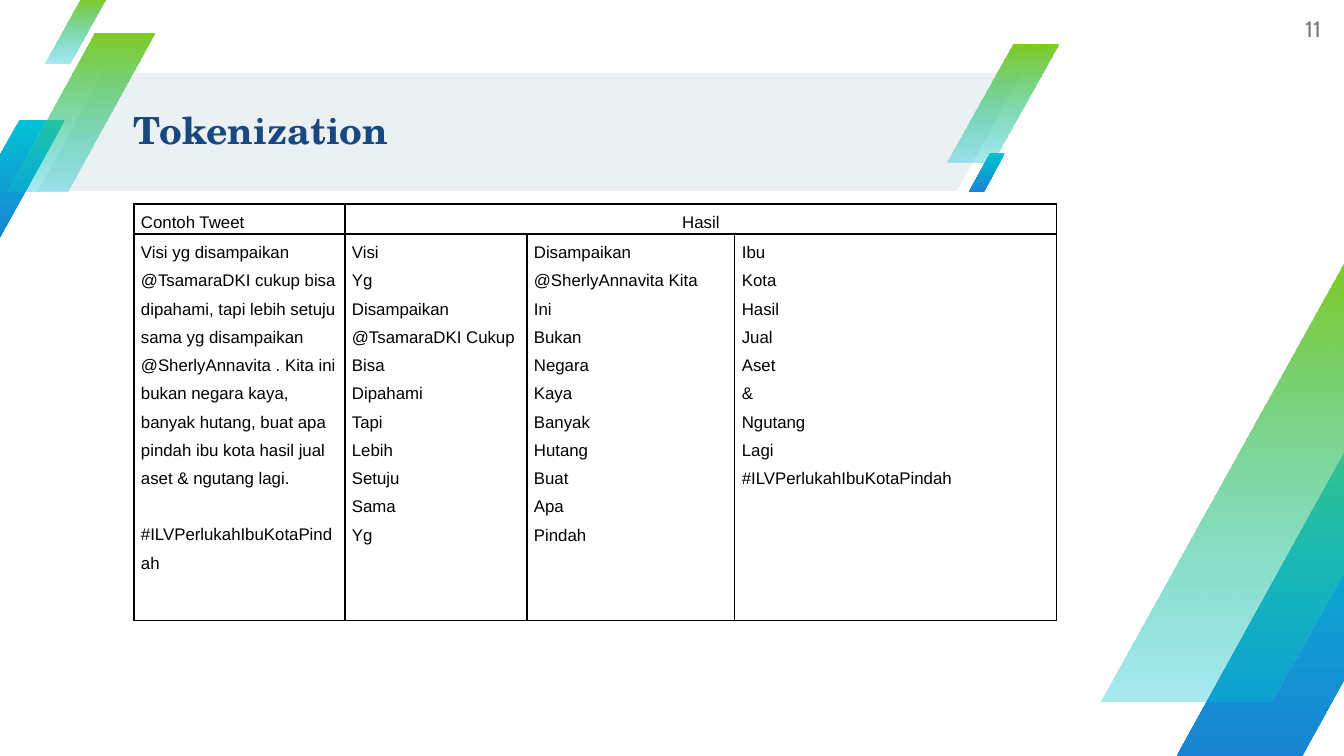
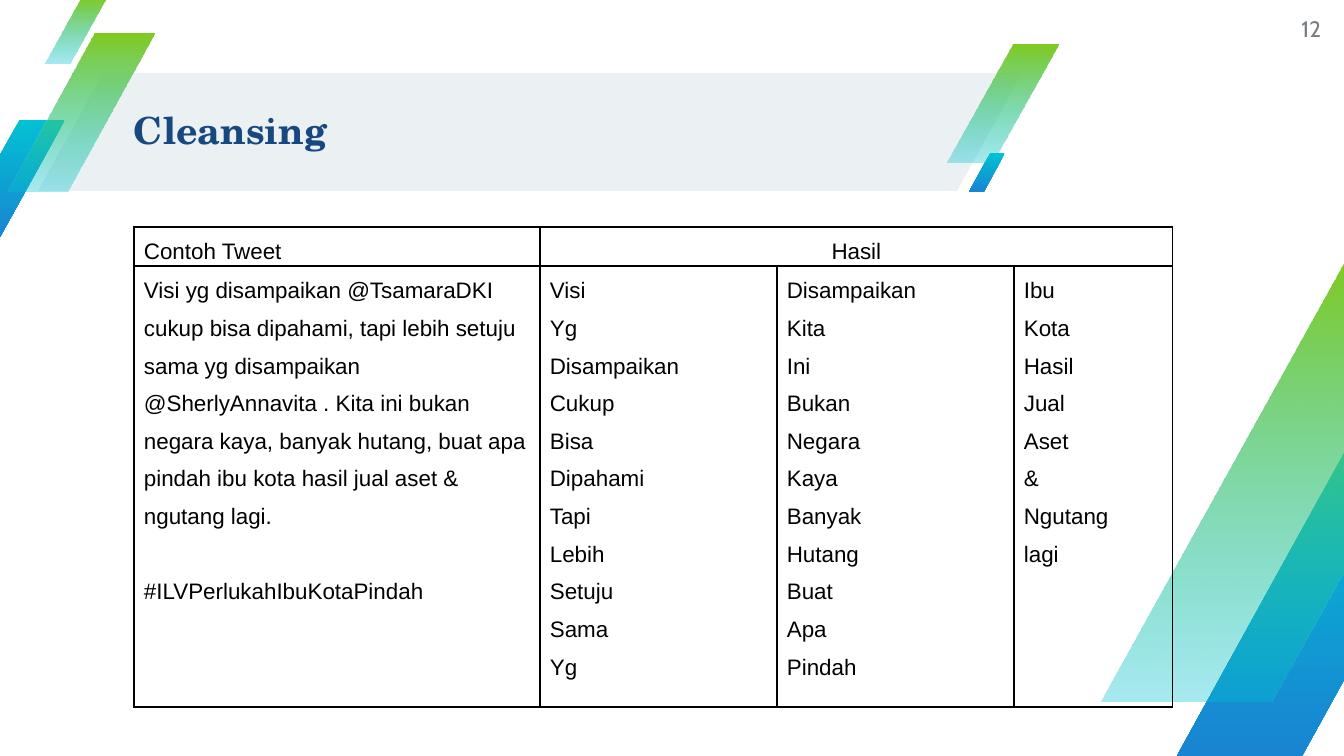
from collections import namedtuple

from lxml.etree import SubElement
from pptx import Presentation
from pptx.dml.color import RGBColor
from pptx.enum.shapes import MSO_SHAPE
from pptx.enum.text import MSO_ANCHOR, MSO_AUTO_SIZE, PP_ALIGN
from pptx.oxml.ns import qn
from pptx.util import Emu, Pt

Box = namedtuple("Box", "left top width height")

PAGE_WIDTH, PAGE_HEIGHT = 1344, 756
SCALE = 914400 / 134.4
TITLE_LAYOUT = 5
COLORS = {
    "band": "EBF0F3",
    "green": "7FCA20",
    "cyan": "02C1D3",
    "blue": "1985D2",
    "title": "184880",
    "number": "757C83",
    "black": "000000",
}
# Gradient: top colour, bottom colour, bottom opacity in percent
GREEN_FADE = ("green", "cyan", 34)
BLUE_FADE = ("cyan", "blue", 100)

HEADER = Box(-46, -2, 1104, 239)
CORNER = Box(1101, 259, 416, 497)
TITLE = Box(134, 73, 886, 119)
NUMBER = Box(1258, 0, 63, 58)

TWEET = (
    "Visi yg disampaikan @TsamaraDKI cukup bisa dipahami, tapi lebih setuju "
    "sama yg disampaikan @SherlyAnnavita . Kita ini bukan negara kaya, banyak "
    "hutang, buat apa pindah ibu kota hasil jual aset & ngutang lagi."
)
HASHTAG = "#ILVPerlukahIbuKotaPindah"


def px(length):
    return Emu(round(length * SCALE))


def color(name):
    return RGBColor.from_string(COLORS[name])


def emu_box(box):
    return [px(length) for length in box]


def style(para, size, font, color_name, spacing=None, align=PP_ALIGN.LEFT, bold=False):
    para.alignment = align
    para.line_spacing = spacing
    para.font.size = Pt(size)
    para.font.name = font
    para.font.bold = bold
    para.font.color.rgb = color(color_name)


def plain_frame(shape):
    frame = shape.text_frame
    frame.margin_left = frame.margin_top = frame.margin_right = frame.margin_bottom = 0
    frame.vertical_anchor = MSO_ANCHOR.MIDDLE
    frame.auto_size = MSO_AUTO_SIZE.NONE
    frame.word_wrap = True
    return frame


def add_slant(page, region, part, slant=0.59):
    """Add a parallelogram whose place is counted from the region's corner."""
    left, top, width, height = part
    box = Box(region.left + left, region.top + top, width, height)
    shape = page.shapes.add_shape(MSO_SHAPE.PARALLELOGRAM, *emu_box(box))
    shape.adjustments[0] = slant
    shape.shadow.inherit = False
    shape.line.fill.background()
    return shape


def add_stripe(page, region, part, fade):
    top_color, bottom_color, opacity = fade
    fill = add_slant(page, region, part).fill
    fill.gradient()
    fill.gradient_angle = 270
    first, last = fill.gradient_stops
    first.position, last.position = 0, 1
    first.color.rgb = color(top_color)
    last.color.rgb = color(bottom_color)
    if opacity < 100:
        stripe = page.shapes[-1].element
        last_color = list(stripe.spPr.iter(qn("a:srgbClr")))[-1]
        SubElement(last_color, qn("a:alpha")).set("val", str(opacity * 1000))


def add_header(page, region):
    band = add_slant(page, region, (84, 75, 984, 118), 0.55)
    band.fill.solid()
    band.fill.fore_color.rgb = color("band")
    add_stripe(page, region, (0, 122, 111, 118), BLUE_FADE)
    add_stripe(page, region, (993, 47, 111, 118), GREEN_FADE)
    add_stripe(page, region, (54, 36, 147, 157), GREEN_FADE)
    add_stripe(page, region, (91, 0, 61, 66), GREEN_FADE)
    add_stripe(page, region, (1015, 155, 36, 39), BLUE_FADE)


def add_corner(page, region):
    add_stripe(page, region, (76, 171, 305, 326), BLUE_FADE)
    add_stripe(page, region, (0, 0, 416, 443), GREEN_FADE)


def add_title(page, box, text):
    title = page.shapes.title
    title.left, title.top, title.width, title.height = emu_box(box)
    frame = plain_frame(title)
    frame.text = text
    style(frame.paragraphs[0], 20, "TeX Gyre Schola", "title", 0.9, bold=True)
    # Bring the title in front of the band
    title.element.getparent().append(title.element)


def add_number(page, box, number):
    frame = plain_frame(page.shapes.add_textbox(*emu_box(box)))
    frame.text = str(number)
    style(frame.paragraphs[0], 12, "Cabin", "number", align=PP_ALIGN.RIGHT)


def outline_cell(cell):
    properties = cell._tc.get_or_add_tcPr()
    for side in ("lnL", "lnR", "lnT", "lnB"):
        line = SubElement(properties, qn(f"a:{side}"), w=str(Pt(0.75)))
        fill = SubElement(line, qn("a:solidFill"))
        SubElement(fill, qn("a:srgbClr"), val=COLORS["black"])
    cell.fill.background()


def fill_cell(cell, lines, size, align=PP_ALIGN.LEFT):
    cell.text = "\n".join(lines)
    for para in cell.text_frame.paragraphs:
        style(para, size, "Arial", "black", 1.5, align)


def add_result_table(page, corner, widths, heights, columns, size, inset):
    box = Box(*corner, sum(widths), sum(heights))
    table = page.shapes.add_table(2, len(widths), *emu_box(box)).table
    table.first_row = table.horz_banding = False
    for column, width in zip(table.columns, widths):
        column.width = px(width)
    for row, height in zip(table.rows, heights):
        row.height = px(height)
    for cell in table.iter_cells():
        cell.margin_left = cell.margin_right = px(inset)
        cell.margin_top = cell.margin_bottom = 0
        outline_cell(cell)

    # Heading row
    table.cell(0, 1).merge(table.cell(0, len(widths) - 1))
    fill_cell(table.cell(0, 0), ["Contoh Tweet"], size)
    fill_cell(table.cell(0, 1), ["Hasil"], size, PP_ALIGN.CENTER)

    # Tweet, with its hashtag one line apart, and the words found
    tweet_cell = table.cell(1, 0)
    fill_cell(tweet_cell, [TWEET, HASHTAG], size)
    tweet_cell.text_frame.paragraphs[1].space_before = Pt(size * 5 / 3)
    for index, words in enumerate(columns, start=1):
        fill_cell(table.cell(1, index), words, size)


def word_columns(cukup, kita, ending):
    return [
        ["Visi", "Yg", "Disampaikan", cukup, "Bisa", "Dipahami",
         "Tapi", "Lebih", "Setuju", "Sama", "Yg"],
        ["Disampaikan", kita, "Ini", "Bukan", "Negara", "Kaya",
         "Banyak", "Hutang", "Buat", "Apa", "Pindah"],
        ["Ibu", "Kota", "Hasil", "Jual", "Aset", "&", "Ngutang", *ending],
    ]


def add_page(deck, number, title, **table):
    page = deck.slides.add_slide(deck.slide_layouts[TITLE_LAYOUT])
    add_header(page, HEADER)
    add_corner(page, CORNER)
    add_number(page, NUMBER, number)
    add_title(page, TITLE, title)
    add_result_table(page, **table)


def main():
    deck = Presentation()
    deck.slide_width, deck.slide_height = px(PAGE_WIDTH), px(PAGE_HEIGHT)
    add_page(
        deck, 11, "Tokenization",
        corner=(134, 204), widths=(211, 182, 208, 322), heights=(30, 387),
        columns=word_columns("@TsamaraDKI Cukup", "@SherlyAnnavita Kita", ["Lagi", HASHTAG]),
        size=9, inset=7,
    )
    add_page(
        deck, 12, "Cleansing",
        corner=(134, 227), widths=(406, 237, 237, 159), heights=(39, 441),
        columns=word_columns("Cukup", "Kita", ["lagi"]),
        size=12, inset=10,
    )
    deck.save("out.pptx")


if __name__ == "__main__":
    main()
